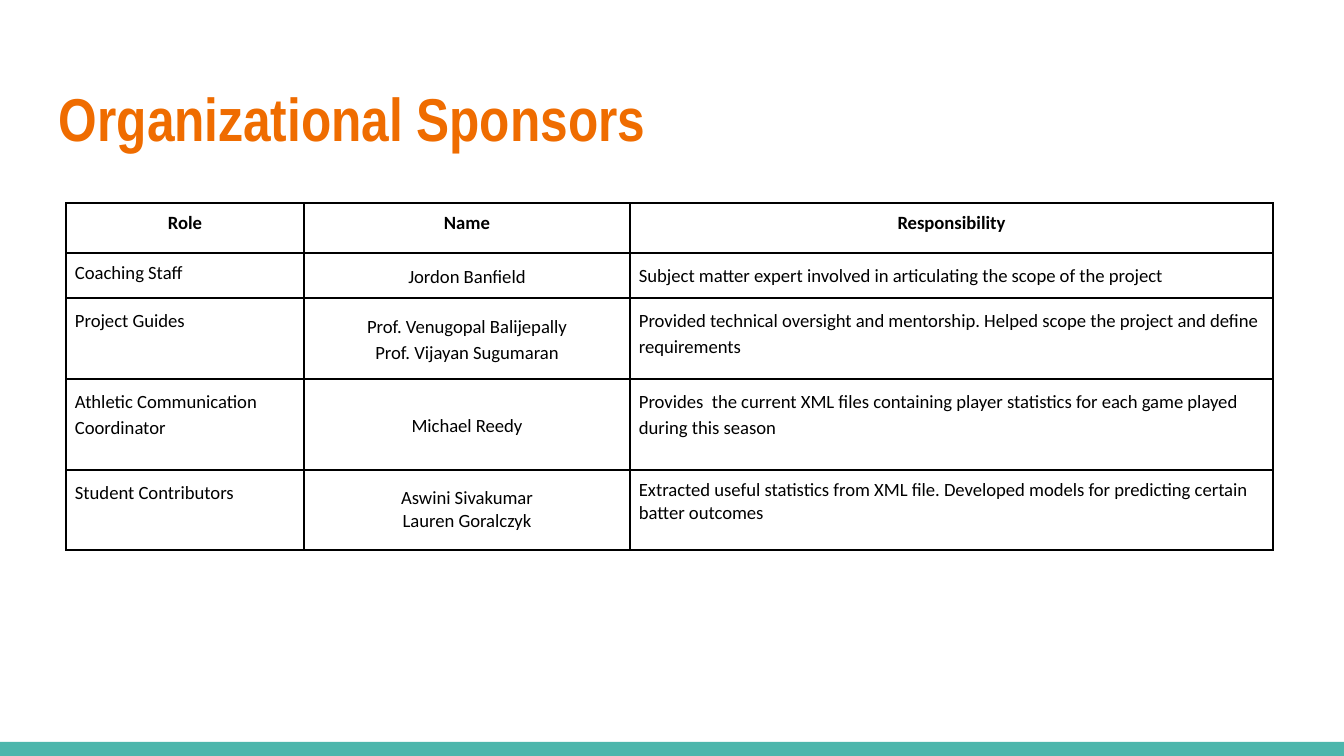
import dataclasses

import lxml.etree
import pptx
import pptx.dml.color
import pptx.enum.text
import pptx.oxml.ns
import pptx.util

PX = 914400 / 134.4  # EMU in one px
ALIGN = pptx.enum.text.PP_ALIGN
ANCHOR = pptx.enum.text.MSO_ANCHOR
INSETS = ("margin_left", "margin_top", "margin_right", "margin_bottom")


@dataclasses.dataclass(frozen=True)
class Theme:
    title_color: str = "EF6C00"
    footer_color: str = "4DB6AC"
    ink: str = "000000"
    title_font: str = "Arial Narrow"
    table_font: str = "Calibri"
    title_size: float = 32.4
    table_size: float = 10
    border_width: float = 1


THEME = Theme()

COLUMN_WIDTHS = (238, 326, 643)
ROW_HEIGHTS = (50, 45, 81, 91, 80)
HEADINGS = ("Role", "Name", "Responsibility")
SPONSORS = (
    ("Coaching Staff", "Jordon Banfield",
     "Subject matter expert involved in articulating the scope of the project"),
    ("Project Guides", "Prof. Venugopal Balijepally\nProf. Vijayan Sugumaran",
     "Provided technical oversight and mentorship. Helped scope the project "
     "and define requirements"),
    ("Athletic Communication Coordinator", "Michael Reedy",
     "Provides  the current XML files containing player statistics for each "
     "game played during this season"),
    ("Student Contributors", "Aswini Sivakumar\nLauren Goralczyk",
     "Extracted useful statistics from XML file. Developed models for "
     "predicting certain batter outcomes"),
)
# Cells set apart from the 1.15 spacing of the table body
SINGLE_SPACED = {(1, 0), (4, 1), (4, 2)}
JUSTIFIED = {(1, 2)}


def px(length):
    return pptx.util.Emu(round(length * PX))


def apply(target, values):
    for name, value in values.items():
        setattr(target, name, value)


def style_font(font, face, size, color, bold):
    apply(font, {"name": face, "size": pptx.util.Pt(size), "bold": bold})
    font.color.rgb = pptx.dml.color.RGBColor.from_string(color)


def add_footer_bar(slide, left, top, width, height):
    bar = slide.shapes.add_shape(
        pptx.enum.shapes.MSO_SHAPE.RECTANGLE,
        px(left), px(top), px(width), px(height))
    bar.shadow.inherit = False
    bar.fill.solid()
    bar.fill.fore_color.rgb = pptx.dml.color.RGBColor.from_string(THEME.footer_color)
    bar.line.fill.background()


def place_title(slide, left, top, width, height):
    title = slide.shapes.title
    apply(title, {"left": px(left), "top": px(top),
                  "width": px(width), "height": px(height)})
    frame = title.text_frame
    frame.text = "Organizational Sponsors"
    apply(frame, dict.fromkeys(INSETS, px(13)))
    apply(frame, {"vertical_anchor": ANCHOR.MIDDLE, "word_wrap": True,
                  "auto_size": pptx.enum.text.MSO_AUTO_SIZE.NONE})
    heading = frame.paragraphs[0]
    heading.alignment = ALIGN.LEFT
    style_font(heading.runs[0].font, THEME.title_font, THEME.title_size,
               THEME.title_color, True)


def add_borders(cell):
    properties = cell._tc.get_or_add_tcPr()
    for side in ("a:lnL", "a:lnR", "a:lnT", "a:lnB"):
        border = lxml.etree.SubElement(
            properties, pptx.oxml.ns.qn(side),
            w=str(pptx.util.Pt(THEME.border_width)))
        ink = lxml.etree.SubElement(border, pptx.oxml.ns.qn("a:solidFill"))
        lxml.etree.SubElement(ink, pptx.oxml.ns.qn("a:srgbClr"), val=THEME.ink)


def fill_cell(cell, text, row, column):
    is_heading = row == 0
    is_name = column == 1
    add_borders(cell)
    cell.fill.background()
    apply(cell, dict.fromkeys(INSETS, px(9)))
    cell.vertical_anchor = (
        ANCHOR.MIDDLE if is_name and not is_heading else ANCHOR.TOP)
    if is_heading or is_name:
        alignment = ALIGN.CENTER
    else:
        alignment = ALIGN.JUSTIFY if (row, column) in JUSTIFIED else ALIGN.LEFT
    single = is_heading or (row, column) in SINGLE_SPACED
    cell.text = text
    for paragraph in cell.text_frame.paragraphs:
        apply(paragraph, {"alignment": alignment,
                          "line_spacing": 1.0 if single else 1.15})
        style_font(paragraph.runs[0].font, THEME.table_font, THEME.table_size,
                   THEME.ink, is_heading)


def add_sponsor_table(slide, left, top):
    sponsors = slide.shapes.add_table(
        len(ROW_HEIGHTS), len(COLUMN_WIDTHS), px(left), px(top),
        px(sum(COLUMN_WIDTHS)), px(sum(ROW_HEIGHTS))).table
    apply(sponsors, {"first_row": False, "horz_banding": False})
    for column, width in zip(sponsors.columns, COLUMN_WIDTHS):
        column.width = px(width)
    for row, height in zip(sponsors.rows, ROW_HEIGHTS):
        row.height = px(height)
    for row, entries in enumerate((HEADINGS, *SPONSORS)):
        for column, text in enumerate(entries):
            fill_cell(sponsors.cell(row, column), text, row, column)


def main():
    deck = pptx.Presentation()
    apply(deck, {"slide_width": px(1344), "slide_height": px(756)})
    slide = deck.slides.add_slide(deck.slide_layouts[5])  # Title Only
    add_footer_bar(slide, 0, 742, 1344, 14)
    place_title(slide, 46, 66, 1252, 103)
    add_sponsor_table(slide, 66, 203)
    deck.save("out.pptx")


if __name__ == "__main__":
    import pptx.enum.shapes
    main()
